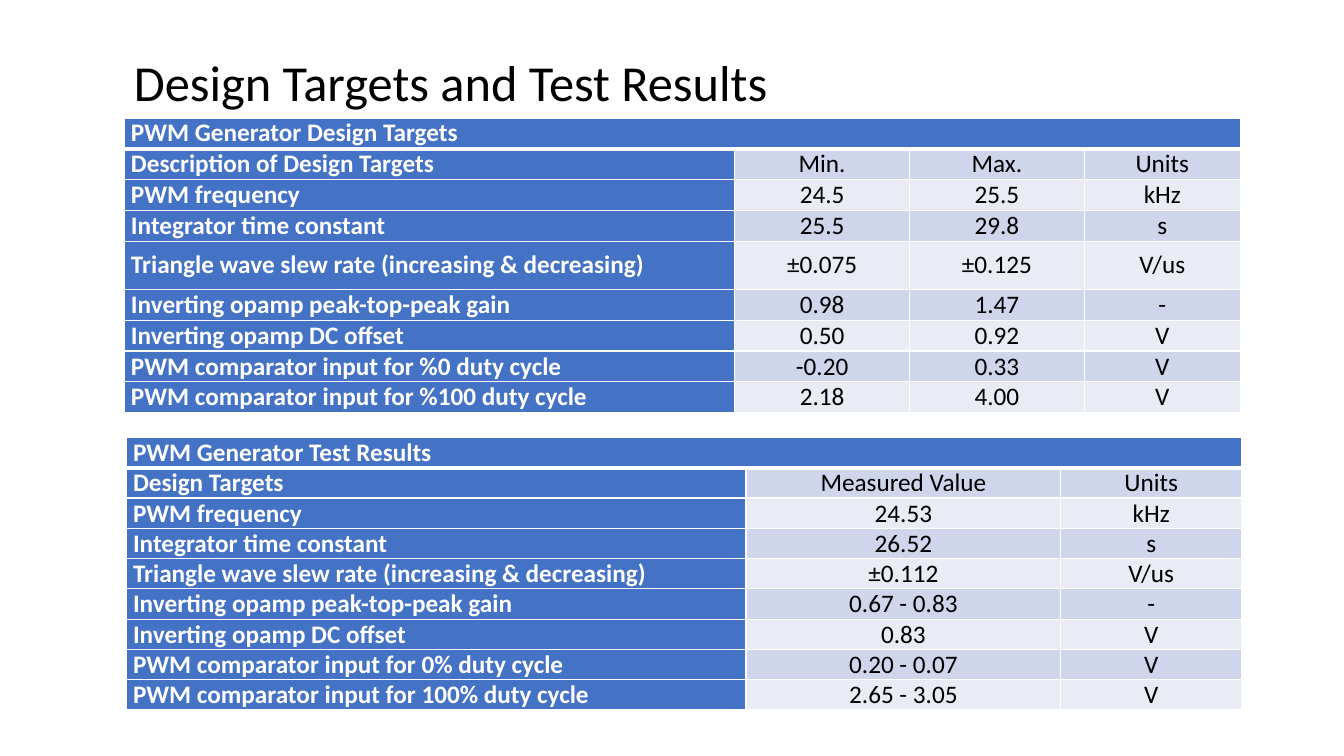
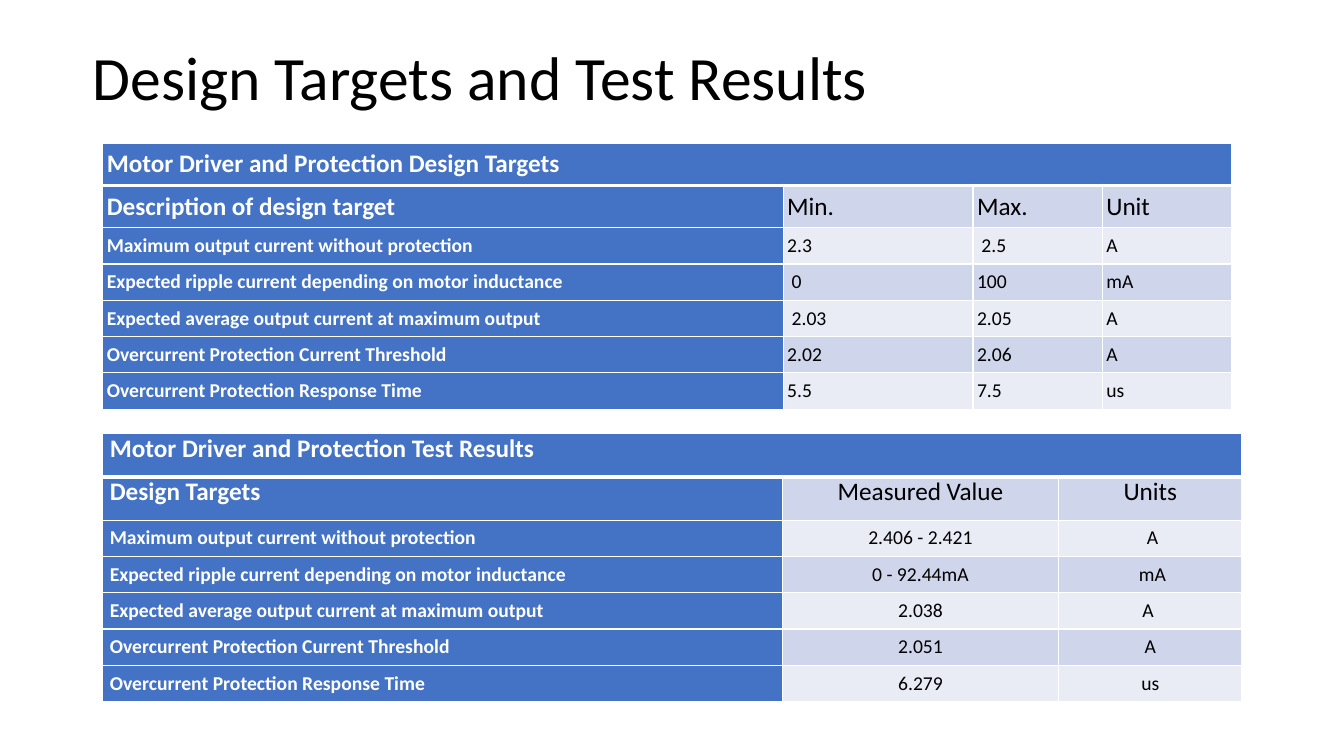
from dataclasses import dataclass

from lxml import etree
from pptx import Presentation
from pptx import util as u
from pptx.dml.color import RGBColor
from pptx.enum import text
from pptx.oxml.ns import qn


@dataclass(frozen=True)
class Theme:
    """Colours, font, type sizes and line widths of the deck."""
    font: str = "Calibri"
    label_fill: str = "4472C4"
    bands: tuple = ("E9EBF5", "CFD5EA")
    light: str = "FFFFFF"
    dark: str = "000000"
    head: int = 18
    body: int = 18
    small: int = 14
    title: int = 36
    big_title: int = 44
    rule: int = 1
    head_rule: int = 3


class Deck:
    """Draws on the current slide, measured on a 160 by 90 grid."""
    COLS, ROWS = 160, 90

    def __init__(self, theme):
        """Start an empty widescreen presentation."""
        self.t = theme
        self.prs = Presentation()
        self.prs.slide_width = u.Inches(13.33)
        self.prs.slide_height = u.Inches(7.5)
        self.s = None

    def x(self, cols):
        """Turn grid columns into a length."""
        return u.Emu(round(self.prs.slide_width * cols / self.COLS))

    def y(self, rows):
        """Turn grid rows into a length."""
        return u.Emu(round(self.prs.slide_height * rows / self.ROWS))

    def slide(self):
        """Add a blank slide and make it current."""
        self.s = self.prs.slides.add_slide(self.prs.slide_layouts[6])

    def run(self, p, words, size, color, bold=False):
        """Add one styled run to a paragraph."""
        r = p.add_run()
        r.text = words
        r.font.name = self.t.font
        r.font.size = u.Pt(size)
        r.font.bold = bold
        r.font.color.rgb = RGBColor.from_string(color)

    def title(self, words, left, top, height, size):
        """Add the slide title."""
        sp = self.s.shapes.add_textbox(
            self.x(left), self.y(top), self.x(97.8), self.y(height))
        tf = sp.text_frame
        tf.word_wrap = True
        tf.auto_size = text.MSO_AUTO_SIZE.SHAPE_TO_FIT_TEXT
        self.run(tf.paragraphs[0], words, size, self.t.dark)

    def borders(self, cell, row):
        """Rule a cell in white, heavier under the heading row."""
        tc_pr = cell._tc.get_or_add_tcPr()
        for side in "LRTB":
            heavy = (row, side) in ((0, "B"), (1, "T"))
            width = self.t.head_rule if heavy else self.t.rule
            ln = etree.SubElement(tc_pr, qn(f"a:ln{side}"), w=str(u.Pt(width)))
            fill = etree.SubElement(ln, qn("a:solidFill"))
            etree.SubElement(fill, qn("a:srgbClr"), val=self.t.light)

    def table(self, left, top, widths, heights, rows, body,
              inset=(0.84, 0), before=6, top_rows=0, centred=True):
        """Add a table with a merged heading, a label column and banded values."""
        tb = self.s.shapes.add_table(
            len(rows), len(widths), self.x(left), self.y(top),
            self.x(sum(widths)), self.y(sum(heights))).table
        tb.first_row = tb.horz_banding = False
        for column, width in zip(tb.columns, widths):
            column.width = self.x(width)
        for line, height in zip(tb.rows, heights):
            line.height = self.y(height)
        tb.cell(0, 0).merge(tb.cell(0, len(widths) - 1))
        for i, row in enumerate(rows):
            for j in range(len(widths)):
                cell = tb.cell(i, j)
                label = i == 0 or j == 0
                self.borders(cell, i)
                cell.fill.solid()
                cell.fill.fore_color.rgb = RGBColor.from_string(
                    self.t.label_fill if label else self.t.bands[i % 2])
                cell.margin_left = cell.margin_right = self.x(inset[0])
                cell.margin_top = cell.margin_bottom = self.y(inset[1])
                cell.vertical_anchor = (
                    text.MSO_ANCHOR.TOP if i < top_rows else text.MSO_ANCHOR.MIDDLE)
                if j >= len(row):
                    continue
                p = cell.text_frame.paragraphs[0]
                p.space_before, p.space_after = u.Pt(before), u.Pt(4)
                p.alignment = (text.PP_ALIGN.CENTER if centred and not label
                               else text.PP_ALIGN.LEFT)
                self.run(p, row[j], self.t.head if i < 2 else body,
                         self.t.light if label else self.t.dark, label)


TITLE = "Design Targets and Test Results"
RESULT_HEAD = ("Design Targets", "Measured Value", "Units")

PWM_LABELS = (
    "PWM frequency",
    "Integrator time constant",
    "Triangle wave slew rate (increasing & decreasing)",
    "Inverting opamp peak-top-peak gain",
    "Inverting opamp DC offset",
)
PWM_UNITS = ("kHz", "s", "V/us", "-", "V", "V", "V")
PWM_TARGET_LABELS = PWM_LABELS + tuple(
    f"PWM comparator input for {duty} duty cycle" for duty in ("%0", "%100"))
PWM_RESULT_LABELS = PWM_LABELS + tuple(
    f"PWM comparator input for {duty} duty cycle" for duty in ("0%", "100%"))
PWM_MIN = ("24.5", "25.5", "±0.075", "0.98", "0.50", "-0.20", "2.18")
PWM_MAX = ("25.5", "29.8", "±0.125", "1.47", "0.92", "0.33", "4.00")
PWM_MEASURED = ("24.53", "26.52", "±0.112", "0.67 - 0.83", "0.83",
                "0.20 - 0.07", "2.65 - 3.05")

MOTOR_LABELS = (
    "Maximum output current without protection",
    "Expected ripple current depending on motor inductance",
    "Expected average output current at maximum output",
    "Overcurrent Protection Current Threshold",
    "Overcurrent Protection Response Time",
)
MOTOR_MIN = ("2.3", " 0", " 2.03", "2.02", "5.5")
MOTOR_MAX = (" 2.5", "100", "2.05", "2.06", "7.5")
MOTOR_TARGET_UNITS = ("A", "mA", "A", "A", "us")
MOTOR_MEASURED = ("2.406 - 2.421", "0 - 92.44mA", "2.038", "2.051", "6.279")
MOTOR_RESULT_UNITS = (" A", " mA", "A ", "A", "us")


def main():
    """Build and save the deck."""
    theme = Theme()
    deck = Deck(theme)

    deck.slide()
    deck.table(
        14.76, 14.04, (72.72, 20.8, 20.8, 18.6), [3.6] * 4 + [5.76] + [3.6] * 4,
        [("PWM Generator Design Targets",),
         ("Description of Design Targets", "Min.", "Max.", "Units"),
         *zip(PWM_TARGET_LABELS, PWM_MIN, PWM_MAX, PWM_UNITS)],
        theme.body, top_rows=4)
    deck.title(TITLE, 14.76, 5.52, 8.52, theme.title)
    deck.table(
        15, 52.08, (73.8, 37.5, 21.5), [3.6] * 9,
        [("PWM Generator Test Results",), RESULT_HEAD,
         *zip(PWM_RESULT_LABELS, PWM_MEASURED, PWM_UNITS)],
        theme.body, top_rows=4)

    deck.slide()
    deck.table(
        12.24, 17.04, (81, 22.6, 15.4, 15.4), [5.04] * 2 + [4.32] * 5,
        [("Motor Driver and Protection Design Targets",),
         ("Description of design target", "Min.", "Max.", "Unit"),
         *zip(MOTOR_LABELS, MOTOR_MIN, MOTOR_MAX, MOTOR_TARGET_UNITS)],
        theme.small, inset=(0.48, 0.24), before=0, centred=False)
    deck.table(
        12.24, 51.6, (80.9, 32.9, 21.8), [5.16] * 2 + [4.32] * 5,
        [("Motor Driver and Protection Test Results",), RESULT_HEAD,
         *zip(MOTOR_LABELS, MOTOR_MEASURED, MOTOR_RESULT_UNITS)],
        theme.small, top_rows=2)
    deck.title(TITLE, 9.84, 4.08, 10.08, theme.big_title)

    deck.prs.save("out.pptx")


if __name__ == "__main__":
    main()
